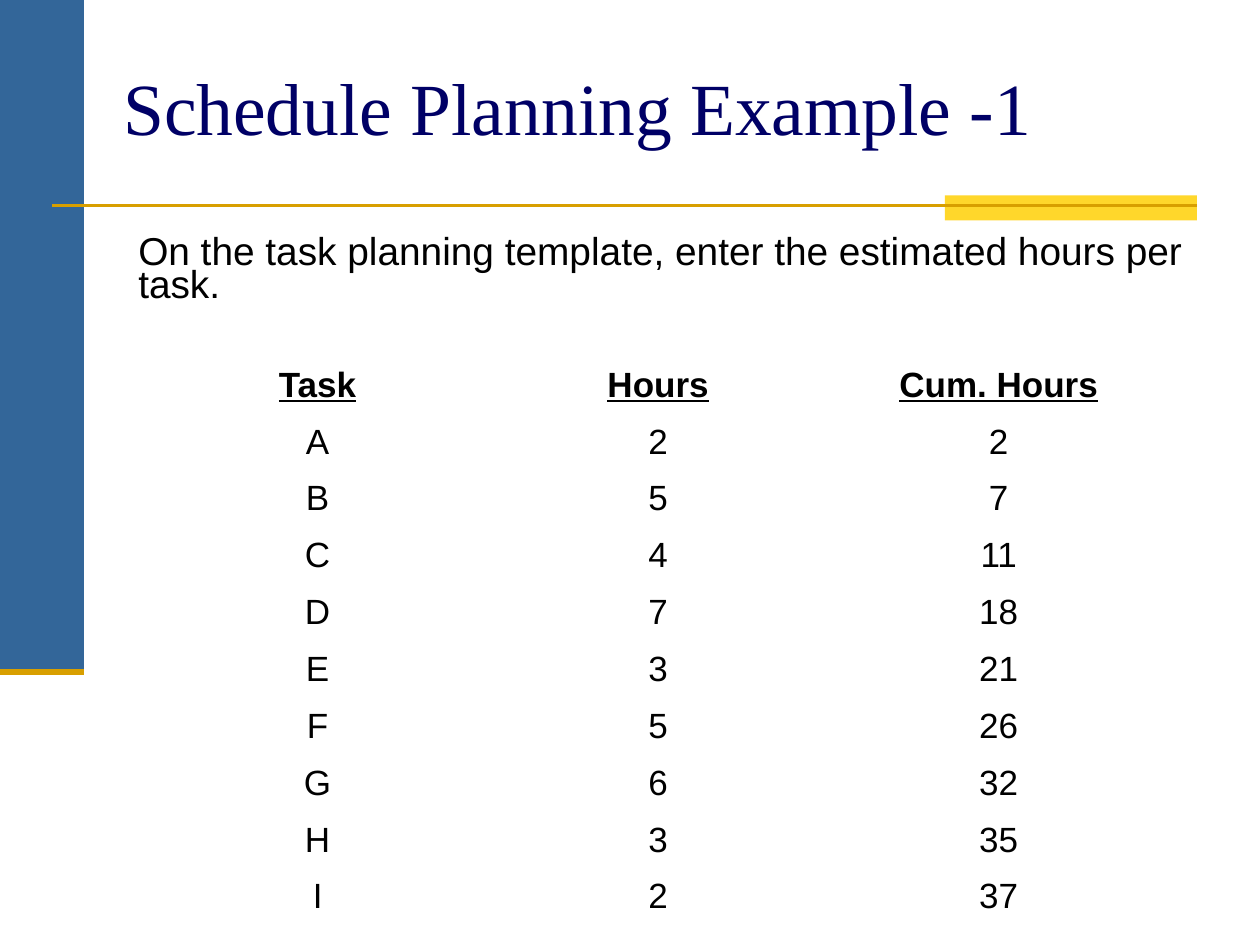
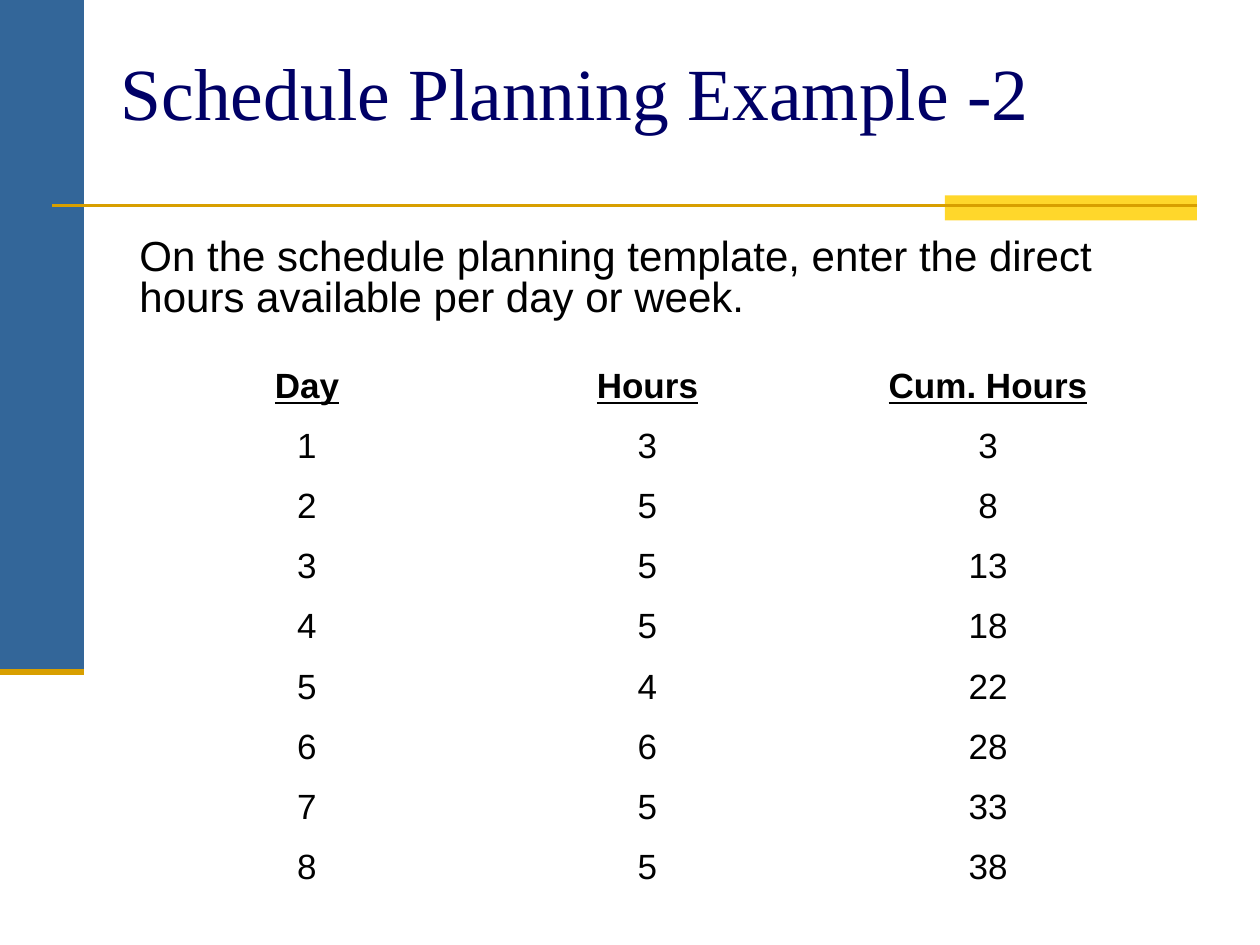
from itertools import accumulate

from lxml import etree
from pptx import Presentation
from pptx.dml.color import RGBColor
from pptx.enum.shapes import MSO_CONNECTOR, MSO_SHAPE
from pptx.enum.text import MSO_ANCHOR, PP_ALIGN
from pptx.oxml.ns import qn
from pptx.util import Pt

BLUE, YELLOW, GOLD = "336699", "FFD72B", "D89F00"
NAVY, BLACK = "000066", "000000"
TABLE_TOP, COLUMN_WIDTH = 203.8, 194.6

SLIDES = [
    {
        "title": "Schedule Planning Example -1",
        "title_box": (61.2, 36, 584.6, 49.7),
        "title_spacing": 1.0,
        "lead": "On the task planning template, enter the estimated hours per task.",
        "lead_box": (60.5, 132.5, 630, 49.7),
        "lead_size": 22.2,
        "lead_spacing": 0.7,
        "header": ("Task", "Hours", "Cum. Hours"),
        "steps": "ABCDEFGHI",
        "hours": [2, 5, 4, 7, 3, 5, 6, 3, 2],
        "table_left": 84.2,
        "row_height": 32.5,
    },
    {
        "title": "Schedule Planning Example -2",
        "title_box": (59.8, 30.2, 584.6, 49.7),
        "title_spacing": 0.9,
        "lead": "On the schedule planning template, enter the direct hours "
                "available per day or week.",
        "lead_box": (61.2, 132.5, 618.5, 56.9),
        "lead_size": 24,
        "lead_spacing": 0.8,
        "header": ("Day", "Hours", "Cum. Hours"),
        "steps": "12345678",
        "hours": [3, 5, 5, 5, 4, 6, 5, 5],
        "table_left": 78.1,
        "row_height": 34.3,
    },
]


def color(value):
    return RGBColor.from_string(value)


def write(frame, text, size=20, font="Arial", fill=BLACK, emphasis=False,
          align=PP_ALIGN.LEFT, spacing=1.0):
    paragraph = frame.paragraphs[0]
    paragraph.alignment = align
    paragraph.line_spacing = spacing
    run = paragraph.add_run()
    run.text = text
    run.font.size = Pt(size)
    run.font.name = font
    run.font.color.rgb = color(fill)
    run.font.bold = run.font.underline = emphasis


def add_text(slide, box, text, left_inset, right_inset, anchor=MSO_ANCHOR.TOP,
             **style):
    frame = slide.shapes.add_textbox(*map(Pt, box)).text_frame
    frame.word_wrap = True
    frame.vertical_anchor = anchor
    frame.margin_left, frame.margin_right = Pt(left_inset), Pt(right_inset)
    frame.margin_top = frame.margin_bottom = Pt(4.4)
    write(frame, text, **style)


def add_band(slide, box, fill):
    shape = slide.shapes.add_shape(MSO_SHAPE.RECTANGLE, *map(Pt, box))
    shape.shadow.inherit = False
    shape.fill.solid()
    shape.fill.fore_color.rgb = color(fill)
    shape.line.fill.background()


def add_rule(slide, left, right, y, width):
    rule = slide.shapes.add_connector(
        MSO_CONNECTOR.STRAIGHT, Pt(left), Pt(y), Pt(right), Pt(y))
    rule.line.color.rgb = color(GOLD)
    rule.line.width = Pt(width)
    etree.SubElement(rule._element.spPr, qn("a:effectLst"))


def add_frame(slide):
    add_band(slide, (0, 0, 48, 384), BLUE)
    add_band(slide, (540, 111.6, 144, 14.4), YELLOW)
    add_rule(slide, 30, 684, 117.5, 1.5)
    add_rule(slide, 0, 48, 384, 3.5)


def add_hours_table(slide, content):
    hours = content["hours"]
    rows = [content["header"], *zip(content["steps"], hours, accumulate(hours))]
    columns = len(content["header"])
    table = slide.shapes.add_table(
        len(rows), columns, Pt(content["table_left"]), Pt(TABLE_TOP),
        Pt(columns * COLUMN_WIDTH), Pt(len(rows) * content["row_height"])).table
    table.first_row = table.horz_banding = False
    for column in table.columns:
        column.width = Pt(COLUMN_WIDTH)
    for index, values in enumerate(rows):
        table.rows[index].height = Pt(content["row_height"])
        for cell, value in zip(table.rows[index].cells, values):
            cell.fill.background()
            cell.vertical_anchor = MSO_ANCHOR.MIDDLE
            write(cell.text_frame, str(value), emphasis=index == 0,
                  align=PP_ALIGN.CENTER)


def main():
    presentation = Presentation()
    presentation.slide_width, presentation.slide_height = Pt(720), Pt(540)
    for content in SLIDES:
        slide = presentation.slides.add_slide(presentation.slide_layouts[6])
        add_frame(slide)
        add_text(slide, content["title_box"], content["title"], 9.2, 9.2,
                 anchor=MSO_ANCHOR.MIDDLE, size=42, font="Times New Roman",
                 fill=NAVY, spacing=content["title_spacing"])
        add_text(slide, content["lead_box"], content["lead"], 18.5, 8.5,
                 size=content["lead_size"], spacing=content["lead_spacing"])
        add_hours_table(slide, content)
    presentation.save("out.pptx")


if __name__ == "__main__":
    main()
